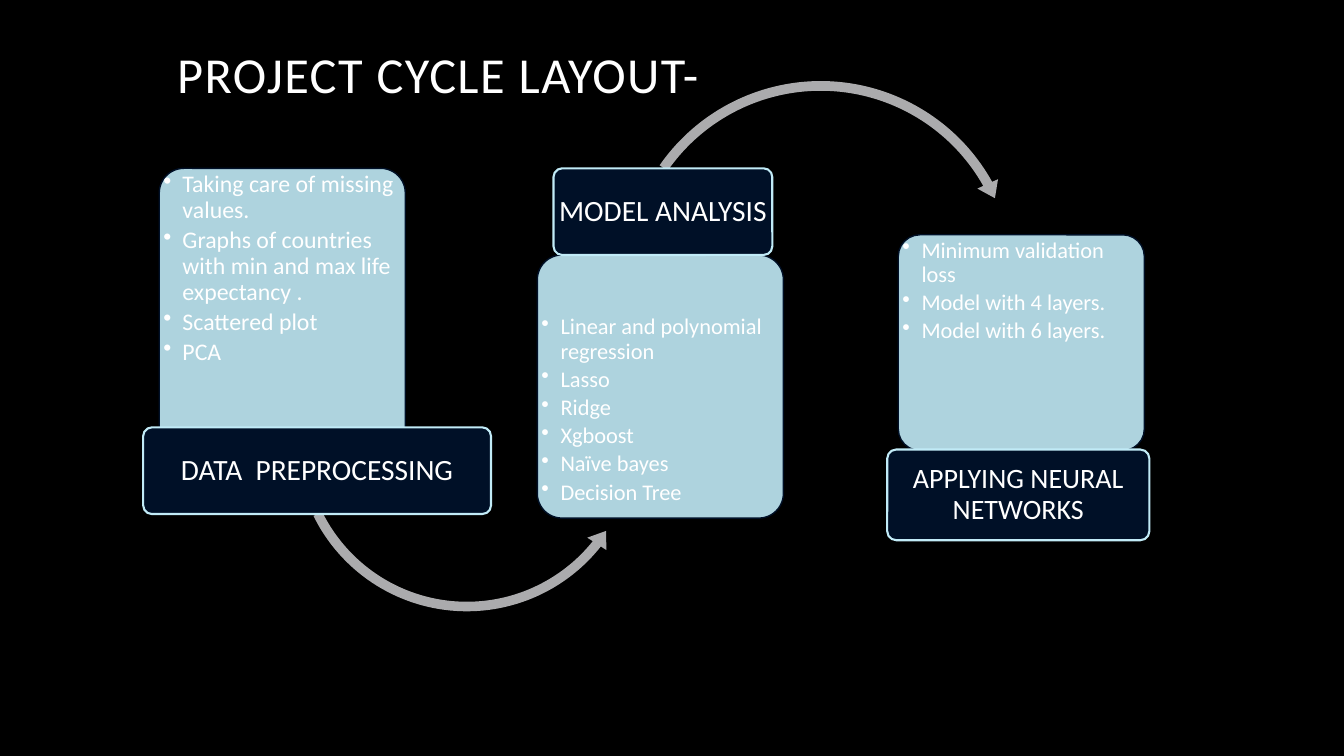
import lxml.etree
import pptx
import pptx.dml.color
import pptx.enum.shapes
import pptx.enum.text
import pptx.oxml.ns
import pptx.util

Inches = pptx.util.Inches
Pt = pptx.util.Pt
qn = pptx.oxml.ns.qn
SHAPES = pptx.enum.shapes.MSO_SHAPE
ANCHOR = pptx.enum.text.MSO_ANCHOR
ALIGN = pptx.enum.text.PP_ALIGN

COLORS = {
    "background": "000000",
    "text": "FFFFFF",
    "panel": "C1EBF7",
    "label": "001027",
    "arrow": "ABABAD",
}

STAGES = [
    {
        "panel": (1.58, 1.67, 2.44, 3.42),
        "list_top": 1.67,
        "list_size": 17,
        "items": ["Taking care of missing values.",
                  "Graphs of countries with min and max life expectancy .",
                  "Scattered plot", "PCA"],
        "label": (1.42, 4.24, 3.45, 0.86),
        "title": "DATA  PREPROCESSING",
        "title_size": 21,
        "arrow": (SHAPES.LEFT_CIRCULAR_ARROW, (2.87, 2.61, 3.52),
                  {"width": 2.7, "tip": 5.5, "end": 38.5, "start": 153.8, "head": 3.2}),
    },
    {
        "panel": (5.33, 2.53, 2.44, 2.61),
        "list_top": 3.09,
        "list_size": 16,
        "items": ["Linear and polynomial regression", "Lasso", "Ridge",
                  "Xgboost", "Naïve bayes", "Decision Tree"],
        "label": (5.49, 1.67, 2.17, 0.86),
        "title": "MODEL ANALYSIS",
        "title_size": 21,
        "arrow": (SHAPES.CIRCULAR_ARROW, (6.13, 0.74, 4.02),
                  {"width": 2.4, "tip": 4.8, "end": 330.8, "start": 214.8, "head": 2.8}),
    },
    {
        "panel": (8.91, 2.33, 2.44, 2.14),
        "list_top": 2.33,
        "list_size": 16,
        "items": ["Minimum validation loss", "Model with 4 layers.", "Model with 6 layers."],
        "label": (8.8, 4.46, 2.6, 0.9),
        "title": "APPLYING NEURAL NETWORKS",
        "title_size": 20,
        "arrow": None,
    },
]


class CycleSlide:
    font_name = "Calibri"
    line_spacing = 0.9
    corner = 0.1
    bullet_indent = 0.19

    def __init__(self, presentation):
        self.slide = presentation.slides.add_slide(presentation.slide_layouts[6])
        self.paint(self.slide.background.fill, "background")

    def color(self, name):
        return pptx.dml.color.RGBColor.from_string(COLORS[name])

    def paint(self, fill, name):
        fill.solid()
        fill.fore_color.rgb = self.color(name)

    def apply(self, target, values):
        for name, value in values.items():
            setattr(target, name, value)

    def frame(self, shape, anchor, horizontal, vertical):
        self.apply(shape.text_frame, {
            "word_wrap": True,
            "vertical_anchor": anchor,
            "margin_left": Inches(horizontal),
            "margin_right": Inches(horizontal),
            "margin_top": Inches(vertical),
            "margin_bottom": Inches(vertical),
        })
        return shape.text_frame

    def add_text(self, paragraph, text, size, **paragraph_values):
        self.apply(paragraph, {"line_spacing": self.line_spacing, **paragraph_values})
        run = paragraph.add_run()
        run.text = text
        self.apply(run.font, {"name": self.font_name, "size": Pt(size)})
        run.font.color.rgb = self.color("text")
        return run

    def shape(self, kind, box, fill):
        shape = self.slide.shapes.add_shape(kind, *map(Inches, box))
        shape.shadow.inherit = False
        self.paint(shape.fill, fill)
        return shape

    def rounded(self, box, fill, line, width):
        shape = self.shape(SHAPES.ROUNDED_RECTANGLE, box, fill)
        shape.adjustments[0] = self.corner
        shape.line.color.rgb = self.color(line)
        shape.line.width = Pt(width)
        return shape

    def title(self, text, box):
        shape = self.slide.shapes.add_textbox(*map(Inches, box))
        frame = self.frame(shape, ANCHOR.BOTTOM, 0.1, 0.05)
        run = self.add_text(frame.paragraphs[0], text, 36)
        run._r.get_or_add_rPr().set("spc", "100")

    def panel(self, box):
        shape = self.rounded(box, "panel", "label", 1)
        color = shape._element.spPr.find(qn("a:solidFill")).find(qn("a:srgbClr"))
        lxml.etree.SubElement(color, qn("a:alpha")).set("val", "90000")

    def bullets(self, items, box, size):
        shape = self.slide.shapes.add_textbox(*map(Inches, box))
        frame = self.frame(shape, ANCHOR.TOP, 0.04, 0.04)
        for index, item in enumerate(items):
            paragraph = frame.add_paragraph() if index else frame.paragraphs[0]
            self.add_text(paragraph, item, size, level=1, space_after=Pt(size * 0.18))
            properties = paragraph._p.get_or_add_pPr()
            properties.set("marL", str(Inches(self.bullet_indent)))
            properties.set("indent", str(-Inches(self.bullet_indent)))
            lxml.etree.SubElement(properties, qn("a:buChar")).set("char", "•")

    def arrow(self, kind, place, bend):
        left, top, size = place
        shape = self.shape(kind, (left, top, size, size), "arrow")
        shape.line.fill.background()
        for index, (name, value) in enumerate(bend.items()):
            is_percent = name in ("width", "head")
            shape.adjustments[index] = value / 100 if is_percent else value * 0.6

    def label(self, text, box, size):
        shape = self.rounded(box, "label", "panel", 1.5)
        frame = self.frame(shape, ANCHOR.MIDDLE, 0.01, 0.01)
        self.add_text(frame.paragraphs[0], text, size, alignment=ALIGN.CENTER)

    def stage(self, stage):
        left, top, width, height = stage["panel"]
        list_top = stage["list_top"]
        self.panel(stage["panel"])
        self.bullets(stage["items"], (left, list_top, width, top + height - list_top),
                     stage["list_size"])
        if stage["arrow"]:
            self.arrow(*stage["arrow"])
        self.label(stage["title"], stage["label"], stage["title_size"])


def main():
    presentation = pptx.Presentation()
    presentation.slide_width = Inches(13.33)
    presentation.slide_height = Inches(7.5)
    cycle = CycleSlide(presentation)
    cycle.title("PROJECT CYCLE LAYOUT-", (1.66, 0.42, 10, 0.67))
    for stage in STAGES:
        cycle.stage(stage)
    presentation.save("out.pptx")


if __name__ == "__main__":
    main()
